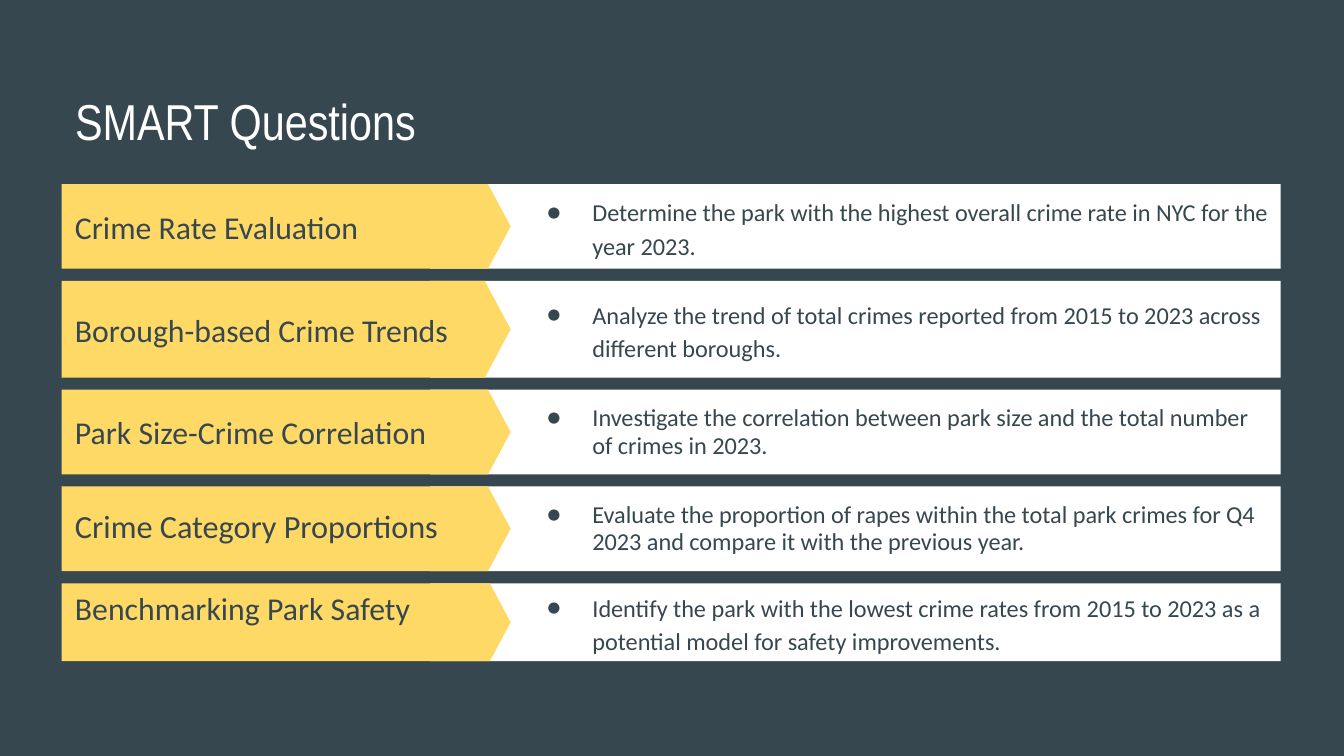
import pptx
import pptx.util
import pptx.dml.color
import pptx.enum.shapes
import pptx.enum.text
import pptx.oxml.ns
import lxml.etree

Inches = pptx.util.Inches
Pt = pptx.util.Pt
SHAPES = pptx.enum.shapes.MSO_SHAPE
ANCHOR = pptx.enum.text.MSO_ANCHOR
COLORS = {"slate": "37474F", "white": "FFFFFF", "yellow": "FFD966"}


def color(name):
    return pptx.dml.color.RGBColor.from_string(COLORS[name])


def write(holder, text, size, ink="slate", font="Calibri", anchor=ANCHOR.MIDDLE,
          spacing=1.0, inset_top=0.1, bullet=False):
    """Put one left-aligned paragraph into a shape or text box."""
    frame = holder.text_frame
    frame_format = {
        "word_wrap": True, "vertical_anchor": anchor, "margin_top": Inches(inset_top),
        "margin_left": Inches(0.1), "margin_right": Inches(0.1), "margin_bottom": Inches(0.1),
    }
    for name, value in frame_format.items():
        setattr(frame, name, value)
    paragraph = frame.paragraphs[0]
    paragraph.alignment = pptx.enum.text.PP_ALIGN.LEFT
    paragraph.line_spacing = spacing
    if bullet:
        properties = paragraph._p.get_or_add_pPr()
        properties.set("marL", str(Inches(0.5)))
        properties.set("indent", str(Inches(-0.34)))
        bullet_color = lxml.etree.SubElement(properties, pptx.oxml.ns.qn("a:buClr"))
        lxml.etree.SubElement(bullet_color, pptx.oxml.ns.qn("a:srgbClr"), val=COLORS[ink])
        lxml.etree.SubElement(properties, pptx.oxml.ns.qn("a:buFont"), typeface=font)
        lxml.etree.SubElement(properties, pptx.oxml.ns.qn("a:buChar"), char="●")
    run = paragraph.add_run()
    run.text = text
    for name, value in {"name": font, "size": Pt(size)}.items():
        setattr(run.font, name, value)
    run.font.color.rgb = color(ink)


deck = pptx.Presentation()
deck.slide_width, deck.slide_height = Inches(10), Inches(10 * 9 / 16)
slide = deck.slides.add_slide(deck.slide_layouts[6])
slide.background.fill.solid()
slide.background.fill.fore_color.rgb = color("slate")

title = slide.shapes.add_textbox(*map(Inches, (0.46, 0.57, 9.32, 0.63)))
write(title, "SMART Questions", 27, "white", "Arial Narrow", ANCHOR.TOP)

# Label, label size, label line spacing, question, question line spacing, row height
questions = [
    ("Crime Rate Evaluation", 17, 1.0,
     "Determine the park with the highest overall crime rate in NYC for the year 2023.", 1.15, 0.63),
    ("Borough-based Crime Trends", 17, 1.0,
     "Analyze the trend of total crimes reported from 2015 to 2023 across different boroughs.", 1.15, 0.72),
    ("Park Size-Crime Correlation", 17, 1.0,
     "Investigate the correlation between park size and the total number of crimes in 2023.", 0.95, 0.63),
    ("Crime Category Proportions", 17.3, 0.8,
     "Evaluate the proportion of rapes within the total park crimes for Q4 2023 "
     "and compare it with the previous year.", 0.95, 0.63),
    ("Benchmarking Park Safety", 17, 1.0,
     "Identify the park with the lowest crime rates from 2015 to 2023 "
     "as a potential model for safety improvements.", 1.15, 0.58),
]

row_gap = 0.09
top = 1.37
for label, label_size, label_spacing, question, question_spacing, height in questions:
    for kind, left, width, fill in (
        (SHAPES.RECTANGLE, 3.2, 6.33, "white"),
        (SHAPES.PENTAGON, 0.46, 3.34, "yellow"),
    ):
        band = slide.shapes.add_shape(kind, *map(Inches, (left, top, width, height)))
        band.shadow.inherit = False
        band.fill.solid()
        band.fill.fore_color.rgb = color(fill)
        band.line.fill.background()
    band.adjustments[0] = 0.267
    if label == "Benchmarking Park Safety":
        write(band, label, label_size, anchor=ANCHOR.TOP, inset_top=0.04)
    else:
        label_box = slide.shapes.add_textbox(*map(Inches, (0.46, top, 3.34, height)))
        write(label_box, label, label_size, spacing=label_spacing)
    question_box = slide.shapes.add_textbox(*map(Inches, (3.81, top, 5.73, height)))
    write(question_box, question, 13, spacing=question_spacing, bullet=True)
    top += height + row_gap

deck.save("out.pptx")
